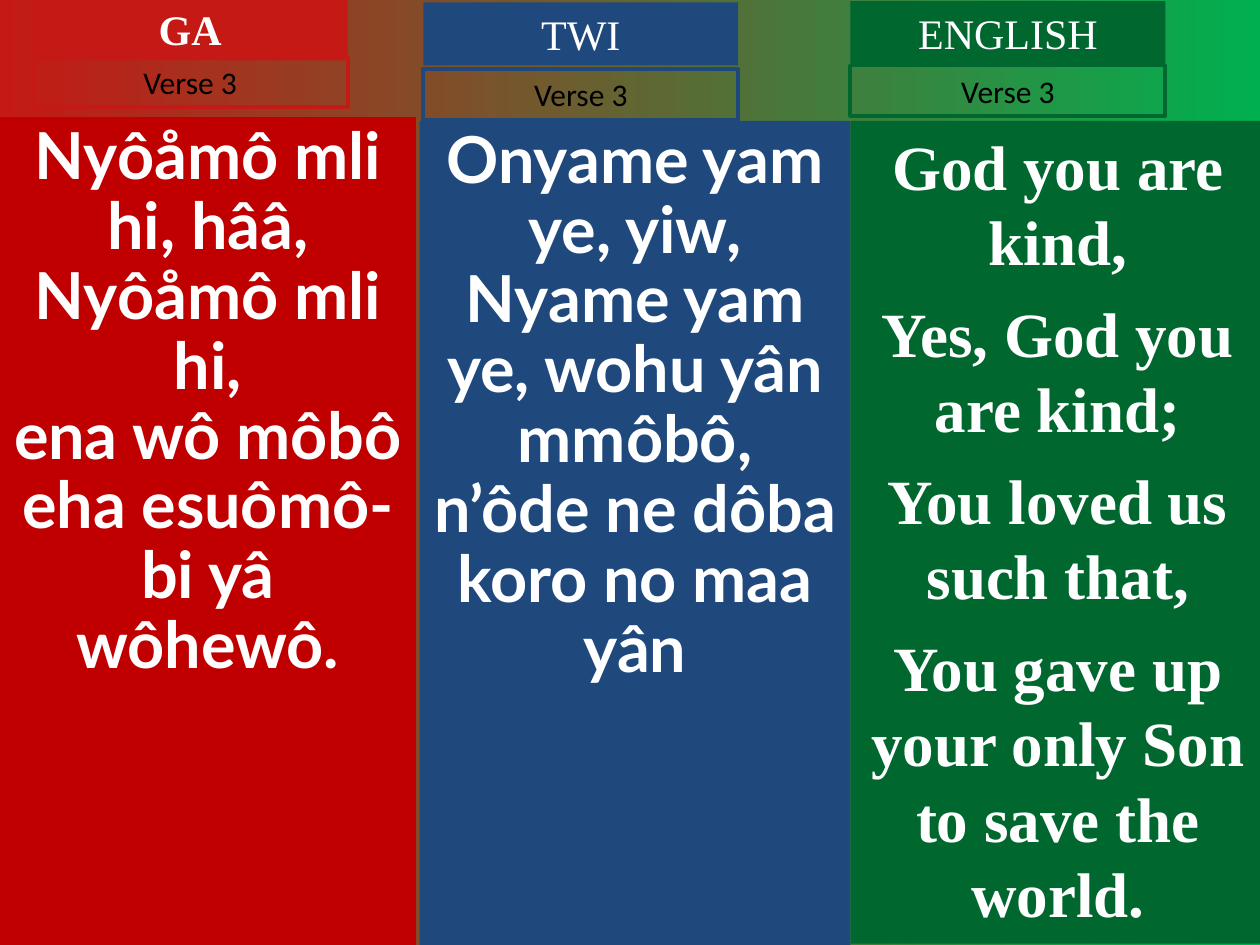
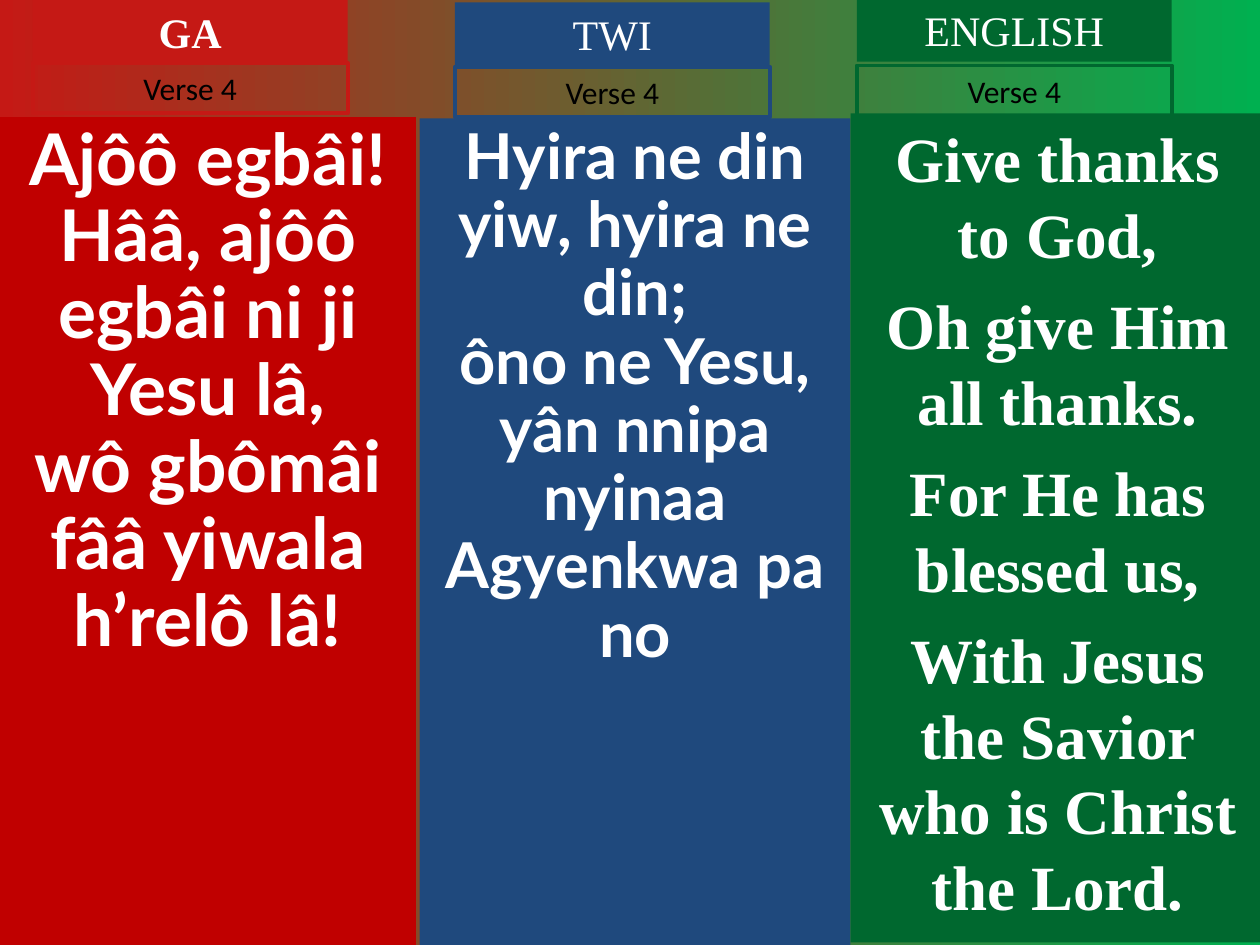
from typing import NamedTuple

from lxml.etree import SubElement
from pptx import Presentation
from pptx.dml.color import RGBColor
from pptx.enum.shapes import MSO_SHAPE
from pptx.enum.text import MSO_ANCHOR, MSO_AUTO_SIZE, PP_ALIGN
from pptx.oxml.ns import qn
from pptx.util import Inches, Pt

RED = RGBColor(0xC5, 0x19, 0x15)
DEEP = RGBColor(0xC0, 0x00, 0x00)
BLUE = RGBColor(0x1F, 0x49, 0x7D)
GREEN = RGBColor(0x00, 0x68, 0x2F)
LIME = RGBColor(0x00, 0xB0, 0x50)
WHITE = RGBColor(0xFF, 0xFF, 0xFF)
BLACK = RGBColor(0x00, 0x00, 0x00)

WIDE, HIGH = Inches(10), Inches(7.5)
COLS, ROWS = 100, 75
TAG_W, HEAD_H, TAG_H = 25, 5, 4
SERIF, SANS, LYRIC = "Times New Roman", "Calibri", "Lato"


class Box(NamedTuple):
    left: float
    top: float
    width: float
    height: float


class Style(NamedTuple):
    font: str
    size: float
    color: RGBColor
    bold: bool = False
    lead: float = 1.0
    gap: float = 0


class Tongue(NamedTuple):
    name: str
    tint: RGBColor
    panel: RGBColor
    left: float
    width: float
    font: str
    lead: float
    gap: float
    bold: bool = False


class Lyric(NamedTuple):
    lines: list[str]
    size: float
    top: float
    end: float
    tag: float
    head: float
    label: float


class Verse(NamedTuple):
    title: str
    lyrics: list[Lyric]


TONGUES = [
    Tongue("GA", RED, DEEP, 0, 33, LYRIC, 0.9, 0, True),
    Tongue("TWI", BLUE, BLUE, 33.3, 34.2, LYRIC, 0.9, 0),
    Tongue("ENGLISH", GREEN, GREEN, 67.5, 32.9, SERIF, 1.0, 9),
]

VERSES = [
    Verse("Verse 3", [
        Lyric(["Nyôåmô mli hi, hââ,", "Nyôåmô mli hi,", "ena wô môbô",
               "eha esuômô-bi yâ wôhewô."],
              37, 9.3, 75, 2.6, -0.2, 4.5),
        Lyric(["Onyame yam ye, yiw, Nyame yam ye, wohu yân mmôbô,",
               "n’ôde ne dôba koro no maa yân"],
              37, 9.6, 75, 33.6, 0.2, 5.5),
        Lyric(["God you are kind,", "Yes, God you are kind;",
               "You loved us such that,",
               "You gave up your only Son to save the world."],
              36, 9.6, 74.9, 67.5, 0.1, 5.2),
    ]),
    Verse("Verse 4", [
        Lyric(["Ajôô egbâi!", "Hââ, ajôô egbâi ni ji Yesu lâ,",
               "wô gbômâi fââ yiwala h’relô lâ!"],
              40.7, 9.3, 75, 2.6, 0, 5),
        Lyric(["Hyira ne din", "yiw, hyira ne din;", "ôno ne Yesu,",
               "yân nnipa nyinaa Agyenkwa pa no"],
              36.1, 9.4, 75, 36.1, 0.2, 5.3),
        Lyric(["Give thanks to God,", "Oh give Him all thanks.",
               "For He has blessed us,",
               "With Jesus the Savior who is Christ the Lord."],
              36, 9, 74.8, 68, -0.1, 5.2),
    ]),
]


def place(shape, box: Box) -> None:
    shape.left = round(WIDE * box.left / COLS)
    shape.top = round(HIGH * box.top / ROWS)
    shape.width = round(WIDE * box.width / COLS)
    shape.height = round(HIGH * box.height / ROWS)


def paint(shape, color: RGBColor) -> None:
    shape.fill.solid()
    shape.fill.fore_color.rgb = color
    shape.line.fill.background()


def write(shape, lines: list[str], style: Style) -> None:
    frame = shape.text_frame
    frame.word_wrap = True
    frame.auto_size = MSO_AUTO_SIZE.NONE
    frame.vertical_anchor = MSO_ANCHOR.TOP
    frame.margin_left = frame.margin_right = Inches(0.1)
    frame.margin_top = frame.margin_bottom = Inches(0.05)
    frame.text = "\n".join(lines)
    for rank, para in enumerate(frame.paragraphs):
        props = para._p.get_or_add_pPr()
        props.set("marL", "0")
        props.set("indent", "0")
        SubElement(props, qn("a:buNone"))
        para.alignment = PP_ALIGN.CENTER
        para.line_spacing = style.lead
        para.space_before = Pt(style.gap if rank else 0)
        para.font.name = style.font
        para.font.size = Pt(style.size)
        para.font.bold = style.bold
        para.font.color.rgb = style.color


def add_rect(slide):
    shape = slide.shapes.add_shape(MSO_SHAPE.RECTANGLE, 0, 0, 0, 0)
    shape.shadow.inherit = False
    return shape


def add_panel(shape, tongue: Tongue, lyric: Lyric) -> None:
    place(shape, Box(tongue.left, lyric.top, tongue.width, lyric.end - lyric.top))
    paint(shape, tongue.panel)
    write(shape, lyric.lines,
          Style(tongue.font, lyric.size, WHITE, True, tongue.lead, tongue.gap))


def add_head(shape, tongue: Tongue, lyric: Lyric) -> None:
    place(shape, Box(lyric.tag, lyric.head, TAG_W, HEAD_H))
    paint(shape, tongue.tint)
    write(shape, [tongue.name], Style(SERIF, 24, WHITE, tongue.bold))


def add_label(slide, title: str, tongue: Tongue, lyric: Lyric) -> None:
    shape = add_rect(slide)
    place(shape, Box(lyric.tag, lyric.label, TAG_W, TAG_H))
    shape.fill.background()
    shape.line.color.rgb = tongue.tint
    shape.line.width = Pt(2.25)
    write(shape, [title], Style(SANS, 18, BLACK))


def add_ground(slide) -> None:
    fill = slide.background.fill
    fill.gradient()
    fill.gradient_angle = 0
    for stop, color in zip(fill.gradient_stops, (RED, LIME)):
        stop.color.rgb = color


def add_verse(deck, verse: Verse) -> None:
    slide = deck.slides.add_slide(deck.slide_layouts.get_by_name("Comparison"))
    add_ground(slide)
    title, *slots = list(slide.placeholders)
    for rank, (tongue, lyric) in enumerate(zip(TONGUES, verse.lyrics)):
        add_panel(slots[rank], tongue, lyric)
        add_head(add_rect(slide) if rank else title, tongue, lyric)
        add_label(slide, verse.title, tongue, lyric)
    for spare in slots[len(TONGUES):]:
        spare.element.getparent().remove(spare.element)


def main() -> None:
    deck = Presentation()
    deck.slide_width, deck.slide_height = WIDE, HIGH
    for verse in VERSES:
        add_verse(deck, verse)
    deck.save("out.pptx")


if __name__ == "__main__":
    main()
